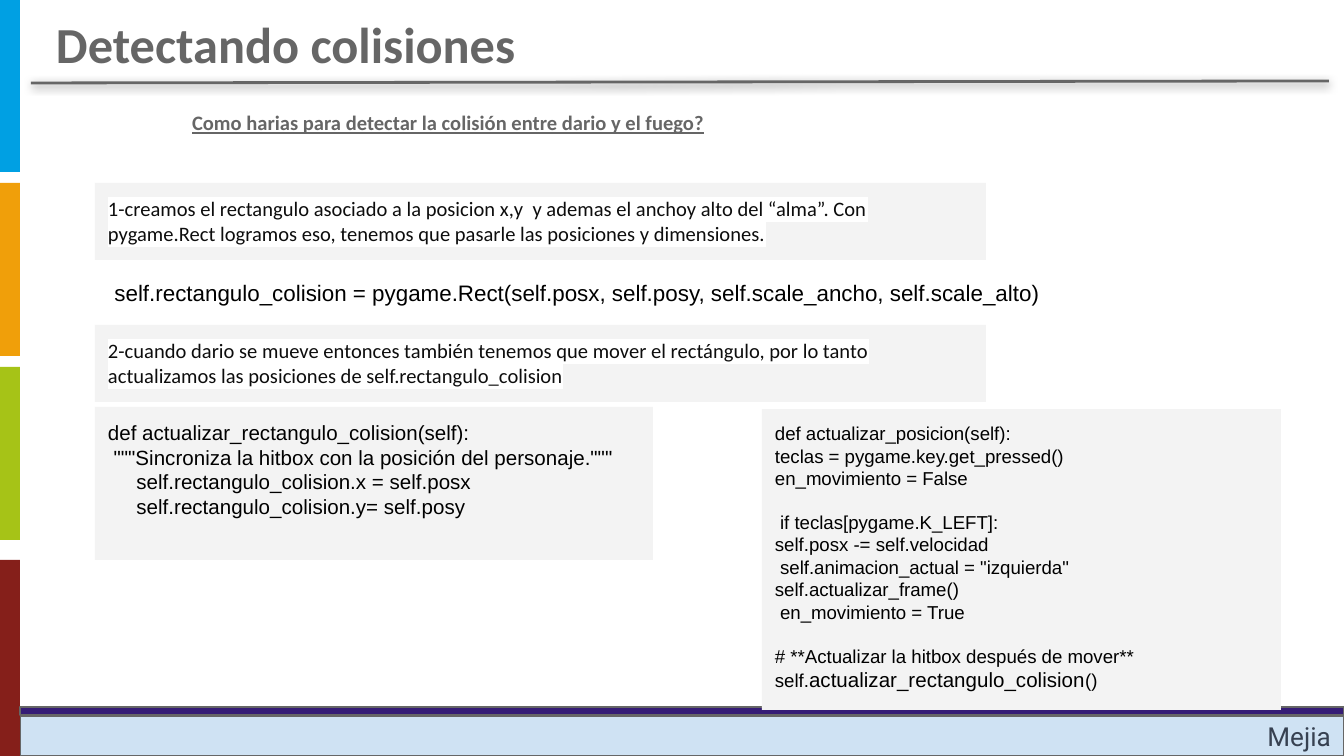
from dataclasses import dataclass
from lxml.etree import SubElement
from pptx import Presentation
from pptx.dml.color import RGBColor as Rgb
from pptx.enum.shapes import MSO_CONNECTOR as Connector, MSO_SHAPE as Shape
from pptx.enum.text import MSO_ANCHOR as Anchor, PP_ALIGN as Align
from pptx.oxml.ns import qn
from pptx.util import Emu, Pt

EMU_PER_PX = 914400 / 134.4
INSET = 13


@dataclass(frozen=True)
class Theme:
    white: str = "FFFFFF"
    panel: str = "F3F3F3"
    gray: str = "666666"
    ink: str = "0D0D0D"
    code: str = "000000"
    footer: str = "CFE2F3"
    footer_text: str = "374151"
    band: str = "351C75"
    blue: str = "00A0E3"
    orange: str = "F09F0A"
    green: str = "A6C317"
    red: str = "851F1A"
    heading_font: str = "Calibri"
    code_font: str = "Arial"
    footer_font: str = "Roboto"
    title_size: int = 27
    footer_size: int = 14
    line_size: int = 12
    body_size: int = 11
    small_size: int = 10


THEME = Theme()


def px(length):
    return Emu(round(length * EMU_PER_PX))


def add_rect(page, area, fill, outline=None):
    rect = page.shapes.add_shape(Shape.RECTANGLE, *map(px, area))
    rect.shadow.inherit = False
    rect.fill.solid()
    rect.fill.fore_color.rgb = Rgb.from_string(fill)
    if outline:
        rect.line.color.rgb = Rgb.from_string(outline)
        rect.line.width = Pt(0.75)
    else:
        rect.line.fill.background()
    return rect


def add_text_box(page, area):
    return page.shapes.add_textbox(*map(px, area))


def prepare_frame(box, anchor=Anchor.TOP):
    frame = box.text_frame
    frame.word_wrap = True
    frame.vertical_anchor = anchor
    frame.margin_left = frame.margin_right = px(INSET)
    frame.margin_top = frame.margin_bottom = px(INSET)
    return frame


def style(para, font_name, size, color, bold=False, align=Align.LEFT):
    para.alignment = align
    font = para.font
    font.name = font_name
    font.size = Pt(size)
    font.bold = bold
    font.color.rgb = Rgb.from_string(color)


def highlight(span):
    mark = SubElement(span.font._element, qn("a:highlight"))
    SubElement(mark, qn("a:srgbClr"), val=THEME.white)


def write_line(box, text, *look, anchor=Anchor.TOP, **options):
    para = prepare_frame(box, anchor).paragraphs[0]
    span = para.add_run()
    span.text = text
    style(para, *look, **options)
    return para, span


def write_code(box, blocks, size):
    frame = prepare_frame(box)
    for block_index, block in enumerate(blocks):
        for line_index, line in enumerate(block):
            first = block_index == line_index == 0
            para = frame.paragraphs[0] if first else frame.add_paragraph()
            para.add_run().text = line
            if block_index and not line_index:
                para.space_before = Pt(size * 1.15)
            style(para, THEME.code_font, size, THEME.code)
    return para


def add_note(page, top, text):
    box = add_rect(page, (95, top, 891, 77), THEME.panel)
    _, span = write_line(box, text, THEME.heading_font, THEME.body_size, THEME.ink)
    highlight(span)


def add_title_rule(page):
    rule = page.shapes.add_connector(Connector.STRAIGHT, *map(px, (31, 83, 1329, 81)))
    rule.line.color.rgb = Rgb.from_string(THEME.gray)
    rule.line.width = Pt(1.5)
    effects = SubElement(rule._element.spPr, qn("a:effectLst"))
    shadow = SubElement(effects, qn("a:outerShdw"), blurRad=str(Pt(4.5)),
                        dist=str(Pt(1.5)), dir="5400000", algn="bl", rotWithShape="0")
    color = SubElement(shadow, qn("a:srgbClr"), val=THEME.code)
    SubElement(color, qn("a:alpha"), val="49000")


def add_frame(page):
    footer = add_rect(page, (20, 716, 1324, 40), THEME.footer, THEME.gray)
    write_line(footer, "Mejia", THEME.footer_font, THEME.footer_size,
               THEME.footer_text, align=Align.RIGHT, anchor=Anchor.MIDDLE)
    strips = ((0, 172, THEME.blue), (183, 173, THEME.orange),
              (367, 173, THEME.green), (560, 196, THEME.red))
    for top, height, color in strips:
        add_rect(page, (0, top, 20, height), color)
    add_rect(page, (20, 707, 1324, 8), THEME.band, THEME.gray)
    add_title_rule(page)


def add_headings(page):
    write_line(add_text_box(page, (43, 0, 914, 89)), "Detectando colisiones",
               THEME.heading_font, THEME.title_size, THEME.gray, bold=True)
    box = add_rect(page, (112, 97, 778, 47), THEME.white, THEME.white)
    para, span = write_line(
        box, "Como harias para detectar la colisión entre dario y el fuego?",
        THEME.heading_font, THEME.body_size, THEME.gray, bold=True)
    para.font.underline = True
    para._p.get_or_add_pPr().set("indent", str(px(67)))
    highlight(span)


def add_steps(page):
    add_note(page, 183, "1-creamos el rectangulo asociado a la posicion x,y  y ademas el "
             "anchoy alto del “alma”. Con pygame.Rect logramos eso, tenemos que pasarle "
             "las posiciones y dimensiones.")
    write_code(add_text_box(page, (89, 266, 1058, 54)), [[
        "  self.rectangulo_colision = pygame.Rect(self.posx, self.posy, "
        "self.scale_ancho, self.scale_alto)"]], THEME.line_size)
    add_note(page, 325, "2-cuando dario se mueve entonces también tenemos que mover el "
             "rectángulo, por lo tanto actualizamos las posiciones de "
             "self.rectangulo_colision")


def add_methods(page):
    write_code(add_rect(page, (95, 407, 558, 153), THEME.panel), [[
        "def actualizar_rectangulo_colision(self):",
        ' """Sincroniza la hitbox con la posición del personaje."""',
        "     self.rectangulo_colision.x = self.posx",
        "     self.rectangulo_colision.y= self.posy",
    ]], THEME.body_size)
    last = write_code(add_rect(page, (762, 409, 519, 301), THEME.panel), [
        ["def actualizar_posicion(self):",
         "teclas = pygame.key.get_pressed()",
         "en_movimiento = False"],
        [" if teclas[pygame.K_LEFT]:",
         "self.posx -= self.velocidad",
         ' self.animacion_actual = "izquierda"',
         "self.actualizar_frame()",
         " en_movimiento = True"],
        ["# **Actualizar la hitbox después de mover** self."],
    ], THEME.small_size)
    call = last.add_run()
    call.text = "actualizar_rectangulo_colision"
    call.font.size = Pt(THEME.body_size)
    last.add_run().text = "()"


def main():
    deck = Presentation()
    deck.slide_width, deck.slide_height = px(1344), px(756)
    page = deck.slides.add_slide(deck.slide_layouts[6])
    add_frame(page)
    add_headings(page)
    add_steps(page)
    add_methods(page)
    deck.save("out.pptx")


if __name__ == "__main__":
    main()
